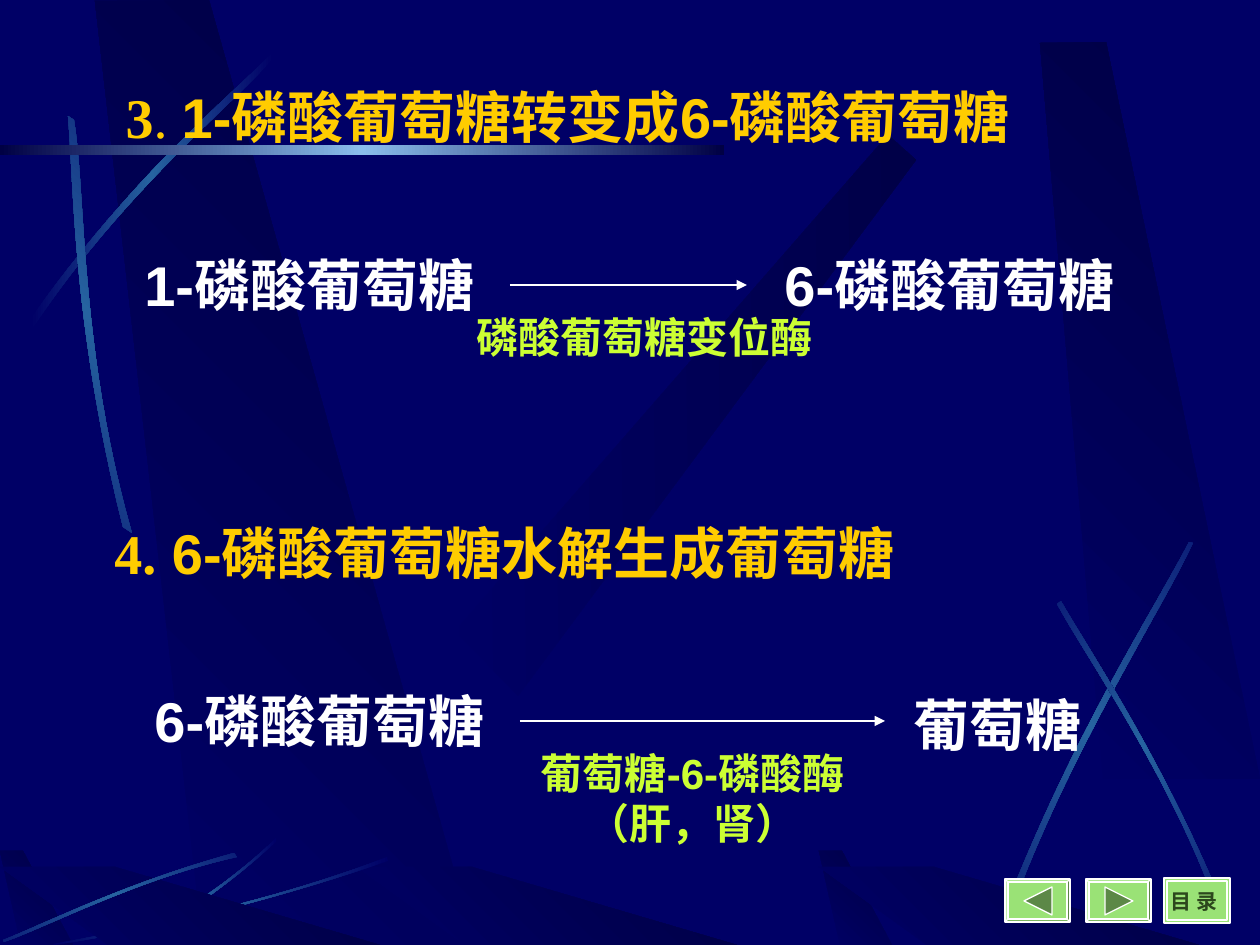
"""Build a slide on two enzyme steps that turn glucose phosphates into glucose."""
import math
from dataclasses import dataclass

from pptx import Presentation
from pptx import util as u
from pptx.dml.color import RGBColor
from pptx.enum import shapes, text
from pptx.oxml import parse_xml
from pptx.oxml.ns import nsdecls, qn

EMU_PER_PX = u.Inches(1) / 126


@dataclass(frozen=True)
class Theme:
    """Hold the colours, fonts and sizes."""

    night: str = "000066"
    shade: str = "000044"
    streak: str = "2663A0"
    glow: str = "8ABDEC"
    white: str = "FFFFFF"
    heading: str = "FFCC00"
    enzyme: str = "CCFF33"
    button: str = "9AE276"
    button_mark: str = "5C8847"
    button_text: str = "2C471D"
    sans: str = "Arial"
    serif: str = "Times New Roman"
    large: int = 32
    medium: int = 24
    small: int = 12
    hairline: float = 0.75


THEME = Theme()
SUBSTANCE = dict(size=THEME.large, name=THEME.sans, color=THEME.white, bold=True)
ENZYME = dict(size=THEME.medium, name=THEME.sans, color=THEME.enzyme, bold=True)
HEADING = dict(size=THEME.large, name=THEME.sans, color=THEME.heading, bold=True)
NUMBER = {**HEADING, "name": THEME.serif}
MENU = dict(size=THEME.small, name=THEME.serif, color=THEME.button_text, bold=True)

BEAM = [(455, 631), (518, 696), (916, 160), (888, 135)]
COLUMNS = [
    [(203, 945), (475, 945), (209, 0), (95, 1)],
    [(1103, 779), (1260, 779), (1106, 42), (1040, 43)],
]
PILLAR = [(21, 945), (73, 945), (23, 851), (0, 851)]
FLOOR = [(108, 945), (380, 945), (115, 867), (0, 867)]
STREAKS = [
    (0, [(31, 318), (136, 171), (232, 95), (272, 53)],
     [(273, 59), (233, 105), (125, 189), (33, 328)]),
    (311.7, [(123, 527), (72, 323), (74, 183), (68, 116)],
     [(74, 120), (86, 189), (79, 348), (132, 533)]),
    (321.6, [(999, 925), (1068, 741), (1157, 605), (1189, 542)],
     [(1193, 543), (1163, 609), (1062, 762), (1005, 929)]),
    (34.8, [(1220, 898), (1160, 755), (1089, 650), (1061, 601)],
     [(1057, 604), (1084, 654), (1167, 771), (1215, 902)]),
    (0, [(276, 842), (210, 902), (151, 935), (126, 945)],
     [(126, 943), (151, 930), (218, 895), (276, 838)]),
    (0, [(388, 861), (243, 911), (111, 937), (54, 945)],
     [(53, 944), (108, 934), (260, 907), (387, 857)]),
]
FRONT_STREAK = (314.9, [(234, 853), (125, 883), (42, 925), (3, 940)],
                [(4, 942), (43, 929), (137, 879), (237, 857)])


def px(length):
    """Turn px into EMU."""
    return u.Emu(round(length * EMU_PER_PX))


def turn(point, degrees):
    """Turn a point clockwise about the origin."""
    x, y = point
    cos, sin = math.cos(math.radians(degrees)), math.sin(math.radians(degrees))
    return x * cos - y * sin, x * sin + y * cos


def bezier(controls, steps=24):
    """List points along a cubic curve."""
    points = []
    for step in range(steps + 1):
        t = step / steps
        weights = [math.comb(3, i) * t**i * (1 - t) ** (3 - i) for i in range(4)]
        points.append(tuple(sum(w * c[axis] for w, c in zip(weights, controls))
                            for axis in (0, 1)))
    return points


def moved(points, dx):
    """Shift points sideways."""
    return [(x + dx, y) for x, y in points]


class SlideBuilder:
    """Hold the theme and the current slide, and draw each kind of element."""

    def __init__(self, deck, theme):
        """Add a title-only slide on a plain background."""
        self.theme = theme
        self.slide = deck.slides.add_slide(deck.slide_layouts[5])
        self.shapes = self.slide.shapes
        fill = self.slide.background.fill
        fill.solid()
        fill.fore_color.rgb = RGBColor.from_string(theme.night)

    def paint(self, shape, fill, outline=None, angle=0):
        """Fill a shape with one colour or with an even gradient of several."""
        shape.shadow.inherit = False
        if isinstance(fill, str):
            shape.fill.solid()
            shape.fill.fore_color.rgb = RGBColor.from_string(fill)
        else:
            shape.fill.background()
            stops = "".join(
                f'<a:gs pos="{round(i * 100000 / (len(fill) - 1))}"><a:srgbClr val="{c}"/></a:gs>'
                for i, c in enumerate(fill))
            gradient = parse_xml(
                f'<a:gradFill {nsdecls("a")} rotWithShape="1"><a:gsLst>{stops}</a:gsLst>'
                f'<a:lin ang="{angle * 60000}" scaled="0"/></a:gradFill>')
            props = shape.element.spPr
            props.replace(props.find(qn("a:noFill")), gradient)
        if outline:
            shape.line.color.rgb = RGBColor.from_string(outline)
            shape.line.width = u.Pt(self.theme.hairline)
        else:
            shape.line.fill.background()
        return shape

    def outline(self, points, fill, line=None, rotation=0, angle=0):
        """Draw a closed outline whose frame is rotated but whose points stay put."""
        level = [turn((px(x), px(y)), -rotation) for x, y in points]
        builder = self.shapes.build_freeform(*level[0])
        builder.add_line_segments(level[1:], close=True)
        shape = builder.convert_to_shape()
        middle = shape.left + shape.width / 2, shape.top + shape.height / 2
        x, y = turn(middle, rotation)
        shape.left, shape.top = round(x - shape.width / 2), round(y - shape.height / 2)
        shape.rotation = rotation
        return self.paint(shape, fill, line, angle)

    def shadow_band(self, points, rotation=0):
        """Draw a dark background band."""
        self.outline(points, (self.theme.night, self.theme.shade), rotation=rotation, angle=315)

    def streak(self, rotation, outward, back):
        """Draw a thin curved streak of light."""
        self.outline(bezier(outward) + bezier(back),
                     (self.theme.night, self.theme.streak, self.theme.night), rotation=rotation)

    def box(self, kind, frame, fill, outline=None):
        """Draw a preset shape."""
        return self.paint(self.shapes.add_shape(kind, *map(px, frame)), fill, outline)

    def nav_button(self, left, triangle):
        """Draw a bevelled button with a triangle."""
        bevel = self.box(shapes.MSO_SHAPE.BEVEL, (left, 879, 65, 43),
                         self.theme.button, self.theme.white)
        bevel.adjustments[0] = 0.07
        self.outline([(left + x, 879 + y) for x, y in triangle],
                     self.theme.button_mark, self.theme.white)

    def set_text(self, frame, paragraphs):
        """Put paragraphs of (text, format) runs into a text frame."""
        frame.vertical_anchor = text.MSO_ANCHOR.TOP
        for i, (align, runs) in enumerate(paragraphs):
            paragraph = frame.add_paragraph() if i else frame.paragraphs[0]
            paragraph.alignment = align
            for words, style in runs:
                run = paragraph.add_run()
                run.text = words
                for key, value in style.items():
                    if key == "color":
                        run.font.color.rgb = RGBColor.from_string(value)
                    else:
                        setattr(run.font, key, u.Pt(value) if key == "size" else value)

    def title(self, frame, *runs):
        """Place the title in front of what is drawn so far."""
        title = self.shapes.title
        self.shapes.element.append(title.element)
        title.left, title.top, title.width, title.height = map(px, frame)
        title.text_frame.auto_size = text.MSO_AUTO_SIZE.NONE
        title.text_frame.word_wrap = True
        self.set_text(title.text_frame, [(text.PP_ALIGN.LEFT, runs)])

    def label(self, frame, *lines, align=text.PP_ALIGN.LEFT):
        """Add a text box, one paragraph for each line of runs."""
        label = self.shapes.add_textbox(*map(px, frame))
        label.text_frame.word_wrap = False
        self.set_text(label.text_frame, [(align, runs) for runs in lines])
        return label

    def arrow(self, start, end, y):
        """Add a horizontal reaction arrow."""
        arrow = self.shapes.add_connector(shapes.MSO_CONNECTOR.STRAIGHT,
                                          px(start), px(y), px(end), px(y))
        arrow.line.color.rgb = RGBColor.from_string(self.theme.white)
        arrow.line.width = u.Pt(self.theme.hairline)
        props = arrow.element.spPr
        props.find(qn("a:ln")).append(parse_xml(f'<a:tailEnd {nsdecls("a")} type="triangle"/>'))
        props.append(parse_xml(f'<a:effectLst {nsdecls("a")}/>'))
        return arrow

    def group(self, *members):
        """Join the parts of one reaction."""
        self.shapes.add_group_shape(members)


def draw_backdrop(page):
    """Draw the bands, streaks, rule and navigation buttons."""
    page.shadow_band(BEAM, 44.2)
    for band in (*COLUMNS, moved(FLOOR, 357), PILLAR, moved(PILLAR, 819)):
        page.shadow_band(band)
    for streak in STREAKS:
        page.streak(*streak)
    page.box(shapes.MSO_SHAPE.RECTANGLE, (0, 145, 724, 10),
             (THEME.shade, THEME.glow, THEME.shade))
    for left in (0, 819):
        page.shadow_band(moved(FLOOR, left))
    page.streak(*FRONT_STREAK)
    page.nav_button(1086, [(19, 8), (47, 22), (19, 36)])
    page.nav_button(1005, [(19, 22), (47, 8), (47, 36)])
    for inset in (0, 3):
        page.box(shapes.MSO_SHAPE.RECTANGLE,
                 (1164 + inset, 878 + inset, 66 - 2 * inset, 45 - 2 * inset),
                 THEME.button, THEME.white)
    page.label((1158, 882, 72, 38), [("目 录", MENU)])


def main():
    """Build and save the slide."""
    deck = Presentation()
    deck.slide_width, deck.slide_height = px(1260), px(945)
    page = SlideBuilder(deck, THEME)
    draw_backdrop(page)
    page.group(
        page.label((132, 244, 444, 81), [("1-磷酸葡萄糖", SUBSTANCE)]),
        page.arrow(510, 747, 285),
        page.label((772, 244, 419, 81), [("6-磷酸葡萄糖", SUBSTANCE)]),
        page.label((464, 305, 399, 63), [("磷酸葡萄糖变位酶", ENZYME)]))
    page.title((113, 76, 1012, 147), ("3", NUMBER), (". ", {**NUMBER, "bold": False}),
               ("1-磷酸葡萄糖转变成6-磷酸葡萄糖", HEADING))
    page.label((102, 512, 869, 81), [("4.", NUMBER), (" 6-磷酸葡萄糖水解生成葡萄糖", HEADING)])
    page.group(
        page.arrow(520, 885, 721),
        page.label((467, 741, 451, 113), [("葡萄糖-6-磷酸酶", ENZYME)],
                   [("（肝，肾）", ENZYME)], align=text.PP_ALIGN.CENTER),
        page.label((901, 684, 244, 81), [("葡萄糖", SUBSTANCE)]),
        page.label((142, 680, 444, 81), [("6-磷酸葡萄糖", SUBSTANCE)]))
    deck.save("out.pptx")


if __name__ == "__main__":
    main()
